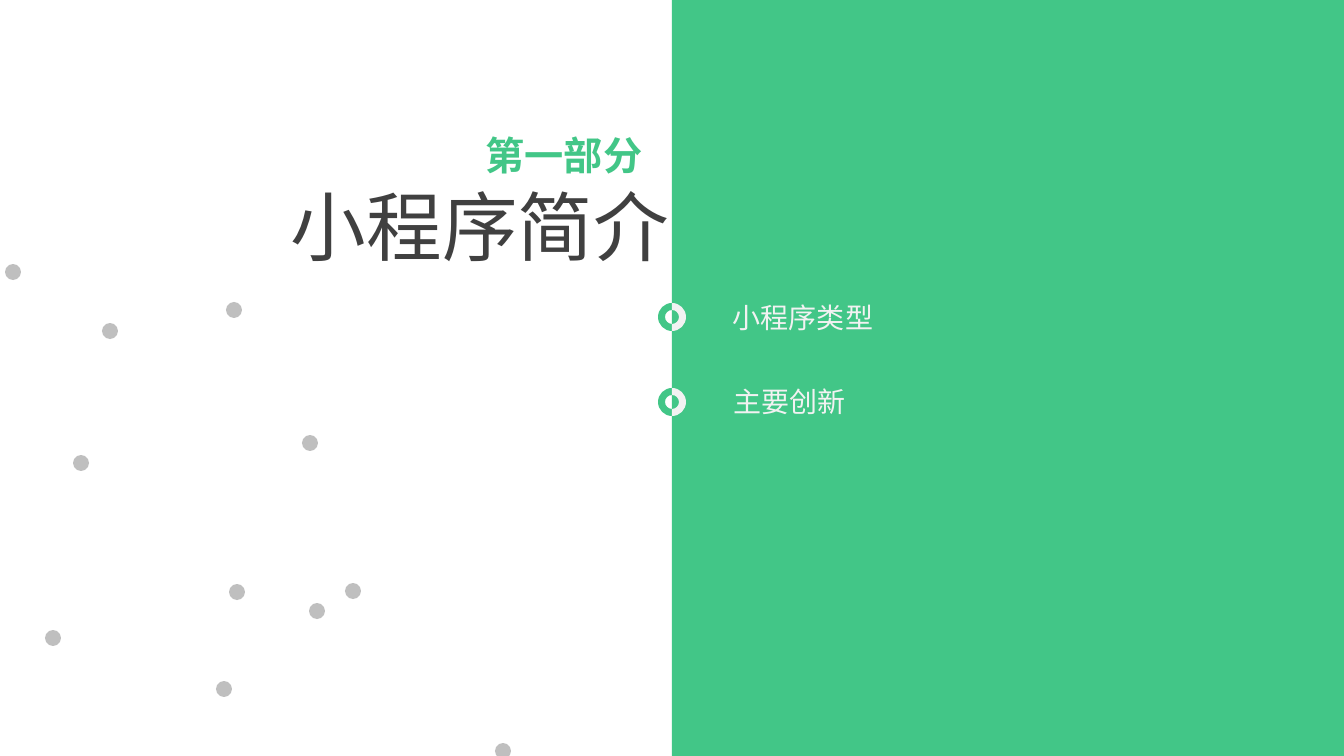
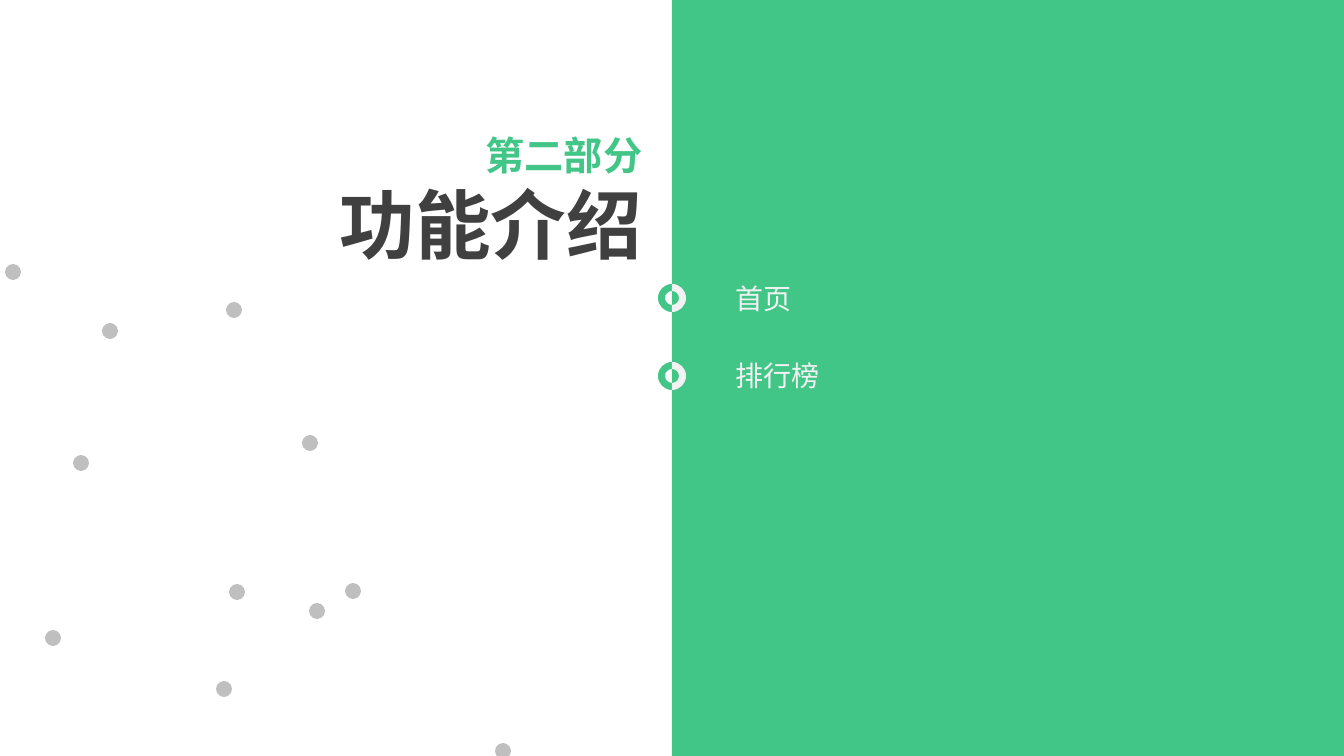
from lxml import etree
from pptx import Presentation
from pptx import util as u
from pptx.dml.color import RGBColor
from pptx.enum import shapes, text
from pptx.oxml.ns import qn

# Content: title box is left, top, width; a topic is label, left, top, ring centre
SECTIONS = [
    {"part": "第一部分", "title": "小程序简介", "title_box": (274, 175, 412),
     "align": text.PP_ALIGN.CENTER, "bold": False,
     "topics": [("小程序类型", 723, 296, 317), ("主要创新", 724, 380, 402)]},
    {"part": "第二部分", "title": "功能介绍", "title_box": (280, 173, 372),
     "align": text.PP_ALIGN.RIGHT, "bold": True,
     "topics": [("首页", 726, 277, 298), ("排行榜", 726, 354, 376)]},
]

# Shared style, lengths in px
PX = 9072
WIDTH, HEIGHT = 1344, 756
SPINE = WIDTH // 2
DOT = 16
DOTS = [(495, 743), (309, 603), (5, 264), (102, 323), (226, 302), (302, 435),
        (345, 583), (229, 584), (73, 455), (216, 681), (45, 630)]
RING_OUTER, RING_INNER = 14, 7
CURVE = 0.55  # control-point reach for a quarter circle
LABEL_WIDTH, LABEL_HEIGHT = 180, 44
FONT = "Noto Sans CJK SC"
GREEN = RGBColor(0x42, 0xC6, 0x87)
DARK = RGBColor(0x40, 0x40, 0x40)
GREY = RGBColor(0xBF, 0xBF, 0xBF)
PALE = RGBColor(0xF2, 0xF2, 0xF2)


def paint(shape, color):
    shape.shadow.inherit = False
    shape.fill.solid()
    shape.fill.fore_color.rgb = color
    shape.line.fill.background()


def add_shape(page, kind, box, color):
    shape = page.shapes.add_shape(kind, *(value * PX for value in box))
    paint(shape, color)
    return shape


def place(box, left, top, width, height):
    box.left, box.top, box.width, box.height = (
        u.Emu(value * PX) for value in (left, top, width, height))


def write(box, words, *, size, color, bold=False, align=text.PP_ALIGN.LEFT):
    frame = box.text_frame
    frame.word_wrap = True
    frame.auto_size = text.MSO_AUTO_SIZE.NONE
    frame.vertical_anchor = text.MSO_ANCHOR.TOP
    para = frame.paragraphs[0]
    para.alignment = align
    span = para.add_run()
    span.text = words
    span.font.name = FONT
    span.font.size = u.Pt(size)
    span.font.bold = bold
    span.font.color.rgb = color
    east_asian = etree.Element(qn("a:ea"), typeface=FONT)
    span.font._element.find(qn("a:latin")).addnext(east_asian)


def add_text(page, words, box, **style):
    write(page.shapes.add_textbox(*(value * PX for value in box)), words, **style)


def half_circle(radius):
    """Start, then control, control and end of two quarter curves, downwards."""
    reach = radius * CURVE
    return [(0, -radius), (reach, -radius), (radius, -reach), (radius, 0),
            (radius, reach), (reach, radius), (0, radius)]


def add_half_ring(page, middle, side, color):
    """Draw half a ring beside the spine: side is -1 for left, 1 for right."""
    outline = half_circle(RING_OUTER) + half_circle(RING_INNER)[::-1]
    points = [(round((SPINE + side * x) * PX), round((middle + y) * PX))
              for x, y in outline]
    builder = page.shapes.build_freeform(*points[0], scale=1.0)
    builder.add_line_segments(points[1:], close=True)
    ring = builder.convert_to_shape()
    # Turn each run of two controls and an end into one curve
    segments = list(ring._element.iter(qn("a:lnTo")))
    for first in (0, 3, 7, 10):
        curve = etree.Element(qn("a:cubicBezTo"))
        segments[first].addprevious(curve)
        for segment in segments[first:first + 3]:
            curve.append(segment[0])
            segment.getparent().remove(segment)
    paint(ring, color)


def add_dots(layout, page):
    """Draw the dots, then move them to the layout all pages share."""
    for x, y in DOTS:
        dot = add_shape(page, shapes.MSO_SHAPE.OVAL, (x, y, DOT, DOT), GREY)
        layout.shapes._spTree.append(dot._element)


def build_page(page, section):
    # Panel, behind the title
    title = page.shapes.title
    panel = add_shape(page, shapes.MSO_SHAPE.RECTANGLE,
                      (SPINE, 0, SPINE, HEIGHT), GREEN)
    title._element.addprevious(panel._element)
    # Heading
    place(title, *section["title_box"], 101)
    write(title, section["title"], size=54, color=DARK,
          bold=section["bold"], align=section["align"])
    add_text(page, section["part"], (464, 126, 200, 57), size=28, color=GREEN,
             bold=True, align=text.PP_ALIGN.CENTER)
    # Topics along the spine
    for label, left, top, middle in section["topics"]:
        add_half_ring(page, middle, -1, GREEN)
        add_half_ring(page, middle, 1, PALE)
        add_text(page, label, (left, top, LABEL_WIDTH, LABEL_HEIGHT),
                 size=20, color=PALE)


def main():
    deck = Presentation()
    deck.slide_width, deck.slide_height = u.Emu(WIDTH * PX), u.Emu(HEIGHT * PX)
    layout = deck.slide_layouts[5]
    pages = [deck.slides.add_slide(layout) for _ in SECTIONS]
    add_dots(layout, pages[0])
    for page, section in zip(pages, SECTIONS):
        build_page(page, section)
    deck.save("out.pptx")


if __name__ == "__main__":
    main()
